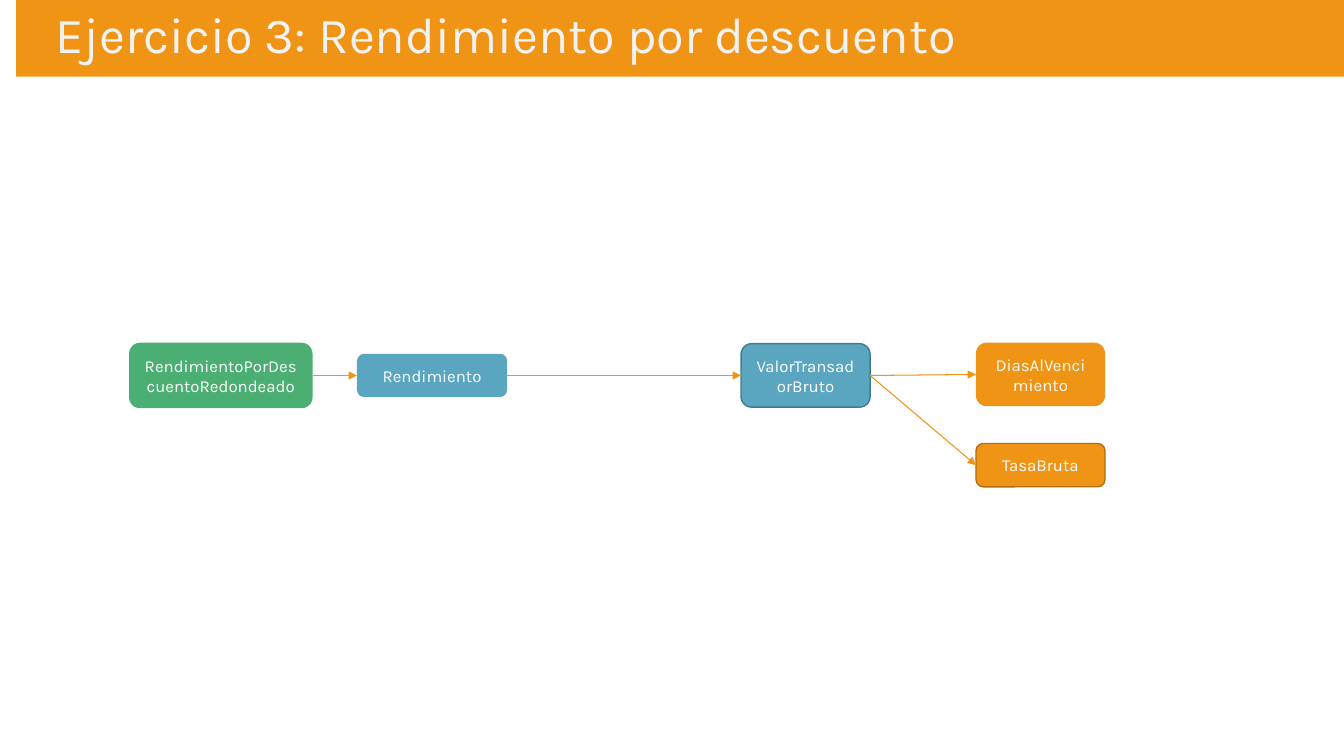
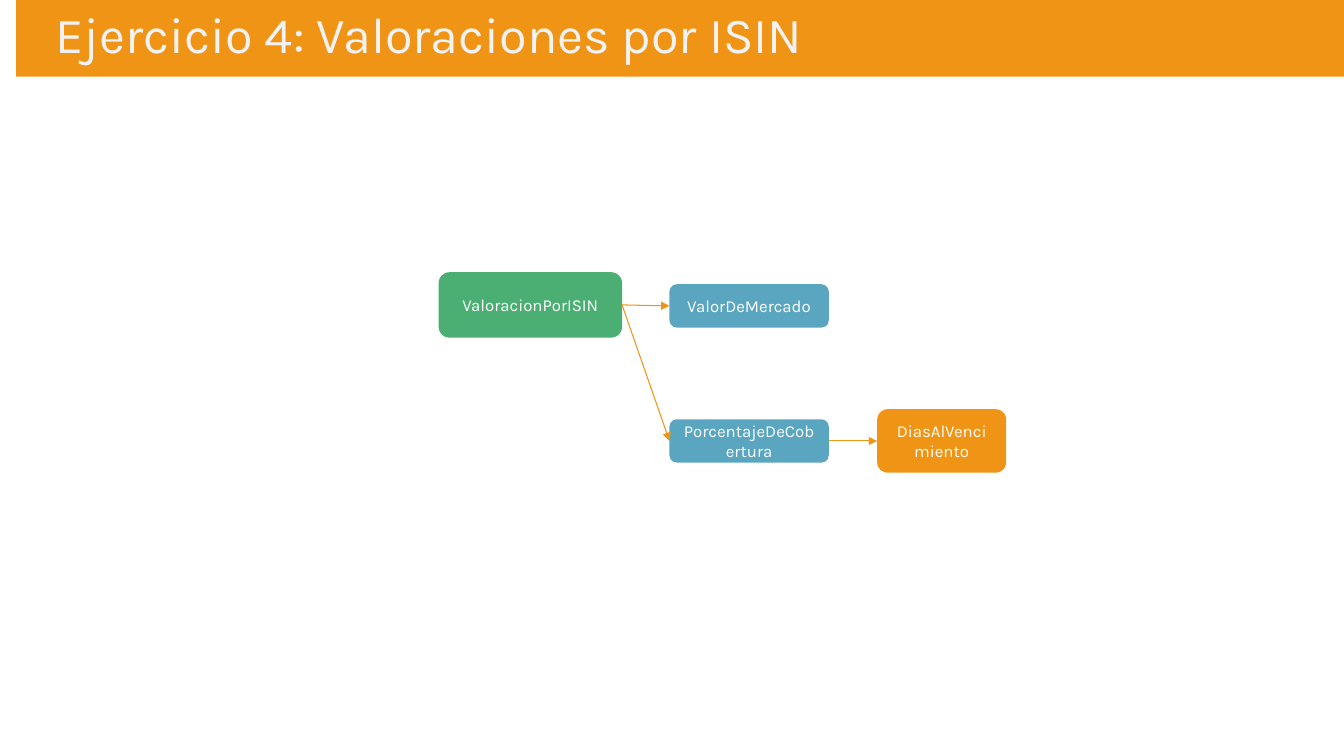
from pptx import Presentation
from pptx.dml.color import RGBColor
from pptx.enum.shapes import MSO_CONNECTOR, MSO_SHAPE
from pptx.enum.text import MSO_ANCHOR as ANCHOR, PP_ALIGN as ALIGN
from pptx.oxml.ns import qn
from pptx.util import Inches, Pt
from lxml.etree import SubElement

FONT = "Karla"
COLORS = {
    "orange": "F09415", "dark_orange": "B26D10",
    "blue": "5AA6C0", "dark_blue": "437B8E",
    "green": "4BAF73", "white": "FFFFFF", "title": "F2F2F2",
}
LEFT, RIGHT = 1, 3  # connection sites of a rounded rectangle


def rgb(name):
    return RGBColor.from_string(COLORS[name])


class Deck:
    """Shared style and the slide being built."""

    def __init__(self):
        self.prs = Presentation()
        self.prs.slide_width = Inches(13.33)
        self.prs.slide_height = Inches(7.5)
        self.s = None

    def slide(self, title):
        self.s = self.prs.slides.add_slide(self.prs.slide_layouts[6])
        self.shape(MSO_SHAPE.RECTANGLE, 0.16, 0, 13.17, 0.76, "orange")
        sp = self.s.shapes.add_textbox(
            Inches(0.45), Inches(-0.01), Inches(10.51), Inches(0.76))
        p = self.text(sp, title, 36, "title", ALIGN.LEFT)
        p.line_spacing = 0.9

    def shape(self, kind, x, y, w, h, fill, line=None):
        sp = self.s.shapes.add_shape(
            kind, Inches(x), Inches(y), Inches(w), Inches(h))
        sp.shadow.inherit = False
        sp.fill.solid()
        sp.fill.fore_color.rgb = rgb(fill)
        if line:
            sp.line.color.rgb = rgb(line)
            sp.line.width = Pt(1)
        else:
            sp.line.fill.background()
        return sp

    def text(self, sp, text, size, color, align):
        tf = sp.text_frame
        tf.word_wrap = True
        tf.vertical_anchor = ANCHOR.MIDDLE
        p = tf.paragraphs[0]
        p.alignment = align
        r = p.add_run()
        r.text = text
        r.font.name = FONT
        r.font.size = Pt(size)
        r.font.color.rgb = rgb(color)
        return p

    def node(self, text, x, y, w, h, fill, line=None):
        sp = self.shape(MSO_SHAPE.ROUNDED_RECTANGLE, x, y, w, h, fill, line)
        self.text(sp, text, 12, "white", ALIGN.CENTER)
        return sp

    def arrow(self, start, end):
        c = self.s.shapes.add_connector(MSO_CONNECTOR.STRAIGHT, 0, 0, 0, 0)
        c.begin_connect(start, RIGHT)
        c.end_connect(end, LEFT)
        c.line.color.rgb = rgb("orange")
        c.line.width = Pt(0.75)
        SubElement(c.line._get_or_add_ln(), qn("a:tailEnd"), type="triangle")
        SubElement(c._element.spPr, qn("a:effectLst"))


def main():
    deck = Deck()

    # Exercise 3: discount yield
    deck.slide("Ejercicio 3: Rendimiento por descuento")
    rounded = deck.node("RendimientoPorDescuentoRedondeado",
                        1.28, 3.4, 1.82, 0.65, "green")
    rate = deck.node("Rendimiento", 3.54, 3.51, 1.49, 0.43, "blue")
    gross = deck.node("ValorTransadorBruto",
                      7.35, 3.41, 1.28, 0.63, "blue", "dark_blue")
    days = deck.node("DiasAlVencimiento", 9.68, 3.4, 1.28, 0.63, "orange")
    gross_rate = deck.node("TasaBruta",
                           9.68, 4.4, 1.28, 0.43, "orange", "dark_orange")
    for start, end in ((rounded, rate), (rate, gross),
                       (gross, days), (gross, gross_rate)):
        deck.arrow(start, end)

    # Exercise 4: valuations by ISIN
    deck.slide("Ejercicio 4: Valoraciones por ISIN")
    valuation = deck.node("ValoracionPorISIN", 4.35, 2.7, 1.82, 0.65, "green")
    market = deck.node("ValorDeMercado", 6.64, 2.82, 1.58, 0.43, "blue")
    coverage = deck.node("PorcentajeDeCobertura",
                         6.64, 4.16, 1.58, 0.43, "blue")
    days = deck.node("DiasAlVencimiento", 8.7, 4.06, 1.28, 0.63, "orange")
    for start, end in ((valuation, market), (valuation, coverage),
                       (coverage, days)):
        deck.arrow(start, end)

    deck.prs.save("out.pptx")


if __name__ == "__main__":
    main()
